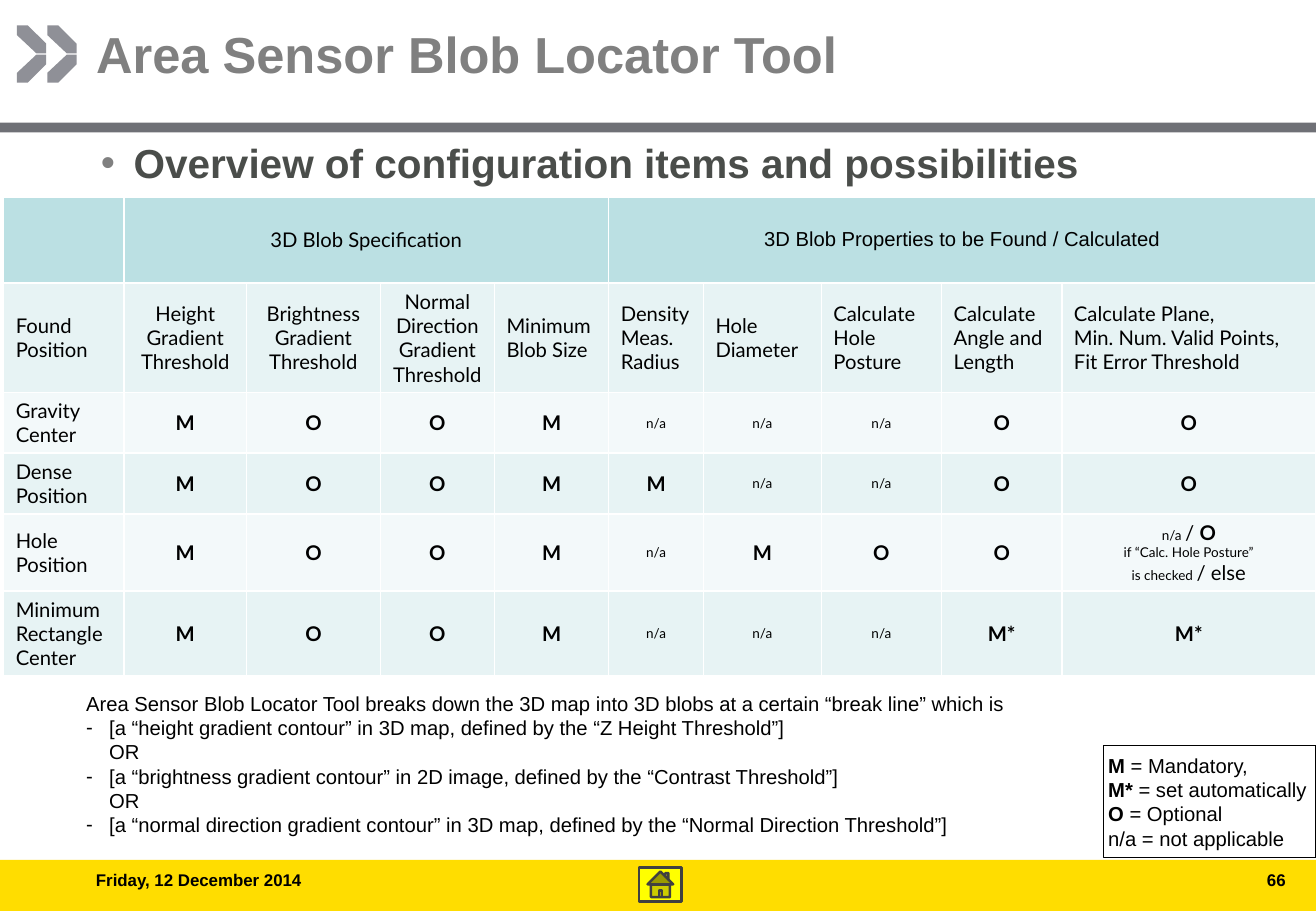
from lxml.etree import SubElement
from pptx import Presentation
from pptx.dml.color import RGBColor
from pptx.enum.shapes import MSO_SHAPE
from pptx.enum.text import MSO_ANCHOR, MSO_AUTO_SIZE, PP_ALIGN
from pptx.oxml.ns import qn
from pptx.util import Inches, Pt

COLORS = {
    "title": "808080", "heading": "4A4D4A", "text": "000000", "rule": "6F7076",
    "chevron": "8F9097", "footer": "FFDD00", "button": "FFFF00", "button_line": "404040",
    "header": "BBE0E3", "dark_row": "E7F3F4", "light_row": "F3F9FA",
}
TITLE = "Area Sensor Blob Locator Tool"
HEADING = "Overview of configuration items and possibilities"
GROUPS = [(1, 4, "3D Blob Specification", "Lato"),
          (5, 9, "3D Blob Properties to be Found / Calculated", "Arial")]
COLUMN_WIDTHS = [0.99, 1.01, 1.1, 0.94, 0.94, 0.78, 0.97, 0.99, 0.99, 2.09]
ROW_HEIGHTS = [0.71, 0.89, 0.5, 0.5, 0.63, 0.7]
CENTERED_HEADERS = (1, 2, 3)
SMALL = {"size": 8}
STRONG = {"bold": True}
HOLE_PLANE = [("n/a ", SMALL), ("/ ", {}), ("O\n", STRONG),
              ("if “Calc. Hole Posture”\nis checked ", SMALL), ("/ else", {})]
ROWS = [
    ["Found\nPosition", "Height Gradient\nThreshold", "Brightness\nGradient\nThreshold",
     "Normal Direction Gradient Threshold", "Minimum\nBlob Size", "Density\nMeas.\nRadius",
     "Hole\nDiameter", "Calculate\nHole\nPosture", "Calculate\nAngle and Length",
     "Calculate Plane,\nMin. Num. Valid Points,\nFit Error Threshold"],
    ["Gravity\nCenter", "M", "O", "O", "M", "n/a", "n/a", "n/a", "O", "O"],
    ["Dense\nPosition", "M", "O", "O", "M", "M", "n/a", "n/a", "O", "O"],
    ["Hole\nPosition", "M", "O", "O", "M", "n/a", "M", "O", "O", HOLE_PLANE],
    ["Minimum\nRectangle\nCenter", "M", "O", "O", "M", "n/a", "n/a", "n/a", "M*", "M*"],
]
LEGEND = [("M", STRONG), (" = Mandatory,\n", {}), ("M*", STRONG), (" = set automatically\n", {}),
          ("O", STRONG), (" = Optional\nn/a = not applicable", {})]
INTRO = ("Area Sensor Blob Locator Tool breaks down the 3D map into 3D blobs "
         "at a certain “break line” which is")
BREAK_LINES = [
    "[a “height gradient contour” in 3D map, defined by the “Z Height Threshold”]\nOR",
    "[a “brightness gradient contour” in 2D image, defined by the “Contrast Threshold”]\nOR",
    "[a “normal direction gradient contour” in 3D map, defined by the “Normal Direction Threshold”]",
]
CHEVRON_HALF = [(0.14, 0.68), (0.14, 0.6), (0.3, 0.45), (0.38, 0.45), (0.38, 0.53), (0.23, 0.68)]
CHEVRON_STEP = 0.25
CHEVRON_MIRROR = 0.89


def color(name):
    return RGBColor.from_string(COLORS[name])


def write(para, text, font="Arial", size=12, bold=False, ink="text", align=PP_ALIGN.LEFT,
          bullet=None, bullet_ink="text", margin=0, indent=0):
    properties = para._p.get_or_add_pPr()
    properties.set("marL", str(Inches(margin)))
    properties.set("indent", str(Inches(indent)))
    para.alignment = align
    para.space_before = Pt(0)
    if bullet:
        bullet_color = SubElement(properties, qn("a:buClr"))
        SubElement(bullet_color, qn("a:srgbClr"), val=COLORS[bullet_ink])
        SubElement(properties, qn("a:buFont"), typeface="Arial")
        SubElement(properties, qn("a:buChar"), char=bullet)
    else:
        SubElement(properties, qn("a:buNone"))
    pieces = [(text, {})] if isinstance(text, str) else text
    for words, changes in pieces:
        for number, line in enumerate(words.split("\n")):
            if number:
                para.add_line_break()
            if line:
                span = para.add_run()
                span.text = line
                span.font.name = font
                span.font.size = Pt(changes.get("size", size))
                span.font.bold = changes.get("bold", bold)
                span.font.color.rgb = color(ink)


def place(box, left, top, width, height):
    box.left, box.top = Inches(left), Inches(top)
    box.width, box.height = Inches(width), Inches(height)


def set_frame(box, insets, anchor=MSO_ANCHOR.TOP):
    frame = box.text_frame
    frame.word_wrap = True
    frame.auto_size = MSO_AUTO_SIZE.NONE
    frame.vertical_anchor = anchor
    (frame.margin_left, frame.margin_top,
     frame.margin_right, frame.margin_bottom) = [Inches(inset) for inset in insets]
    return frame


def style(shape, fill=None, line=None, width=0.75):
    shape.shadow.inherit = False
    if fill:
        shape.fill.solid()
        shape.fill.fore_color.rgb = color(fill)
    else:
        shape.fill.background()
    if line:
        shape.line.color.rgb = color(line)
        shape.line.width = Pt(width)
    else:
        shape.line.fill.background()


def add_shape(page, kind, area, **look):
    shape = page.shapes.add_shape(kind, *[Inches(length) for length in area])
    style(shape, **look)
    return shape


def add_text(page, area, insets):
    box = page.shapes.add_textbox(*[Inches(length) for length in area])
    return set_frame(box, insets)


def add_chevrons(page):
    for column in range(2):
        for mirrored in (False, True):
            points = [(Inches(x + column * CHEVRON_STEP),
                       Inches(CHEVRON_MIRROR - y if mirrored else y)) for x, y in CHEVRON_HALF]
            builder = page.shapes.build_freeform(*points[0])
            builder.add_line_segments(points[1:], close=True)
            style(builder.convert_to_shape(), fill="chevron")


def fill_cell(cell, fill, text=None, **look):
    cell.fill.solid()
    cell.fill.fore_color.rgb = color(fill)
    cell.vertical_anchor = MSO_ANCHOR.MIDDLE
    if text:
        write(cell.text_frame.paragraphs[0], text, **look)


def add_blob_table(page):
    table = page.shapes.add_table(
        len(ROW_HEIGHTS), len(COLUMN_WIDTHS), Inches(0.03), Inches(1.62),
        Inches(sum(COLUMN_WIDTHS)), Inches(sum(ROW_HEIGHTS))).table
    for column, width in zip(table.columns, COLUMN_WIDTHS):
        column.width = Inches(width)
    for row, height in zip(table.rows, ROW_HEIGHTS):
        row.height = Inches(height)
    for column in range(len(COLUMN_WIDTHS)):
        fill_cell(table.cell(0, column), "header")
    for first, last, text, font in GROUPS:
        table.cell(0, first).merge(table.cell(0, last))
        fill_cell(table.cell(0, first), "header", text, font=font, align=PP_ALIGN.CENTER)
    for row, entries in enumerate(ROWS, 1):
        for column, text in enumerate(entries):
            is_value = row > 1 and column > 0
            centered = is_value or (row == 1 and column in CENTERED_HEADERS)
            fill_cell(table.cell(row, column), "dark_row" if row % 2 else "light_row", text,
                      font="Lato", size=8 if text == "n/a" else 12,
                      bold=is_value and text in ("M", "O", "M*"),
                      align=PP_ALIGN.CENTER if centered else PP_ALIGN.LEFT)


def main():
    deck = Presentation()
    deck.slide_width, deck.slide_height = Inches(10.83), Inches(7.5)
    page = deck.slides.add_slide(deck.slide_layouts[1])
    title, body = page.shapes.title, page.placeholders[1]

    place(title, 0, 0, 10.83, 0.84)
    write(set_frame(title, (0.79, 0.19, 1.77, 0)).paragraphs[0], TITLE,
          size=30, bold=True, ink="title")
    place(body, 0, 0.91, 10.83, 0.95)
    write(set_frame(body, (0.79, 0.23, 0.39, 0)).paragraphs[0], HEADING,
          size=24, bold=True, ink="heading", bullet="•", bullet_ink="title",
          margin=0.31, indent=-0.27)

    add_shape(page, MSO_SHAPE.RECTANGLE, (0, 7.08, 10.83, 0.42), fill="footer")
    add_shape(page, MSO_SHAPE.RECTANGLE, (0, 1.01, 10.83, 0.08), fill="rule")
    add_chevrons(page)
    date = add_text(page, (0.79, 7.08, 4.83, 0.42), (0, 0.08, 0.1, 0.04))
    write(date.paragraphs[0], "Friday, 12 December 2014", size=10, bold=True)
    number = add_text(page, (8.96, 7.08, 1.62, 0.42), (0.1, 0.08, 0, 0))
    write(number.paragraphs[0], "66", size=10, bold=True, align=PP_ALIGN.RIGHT)

    add_blob_table(page)

    legend = add_shape(page, MSO_SHAPE.RECTANGLE, (9.08, 6.14, 1.75, 0.92), line="text")
    write(set_frame(legend, (0, 0, 0, 0), MSO_ANCHOR.MIDDLE).paragraphs[0], LEGEND, margin=0.04)
    add_shape(page, MSO_SHAPE.ACTION_BUTTON_HOME, (5.26, 7.14, 0.35, 0.28),
              fill="button", line="button_line", width=1.5)

    notes = add_text(page, (0.61, 5.64, 8.39, 1.4), (0.1, 0.05, 0.1, 0.05))
    write(notes.paragraphs[0], INTRO)
    for text in BREAK_LINES:
        write(notes.add_paragraph(), text, bullet="-", margin=0.19, indent=-0.19)

    deck.save("out.pptx")


if __name__ == "__main__":
    main()
